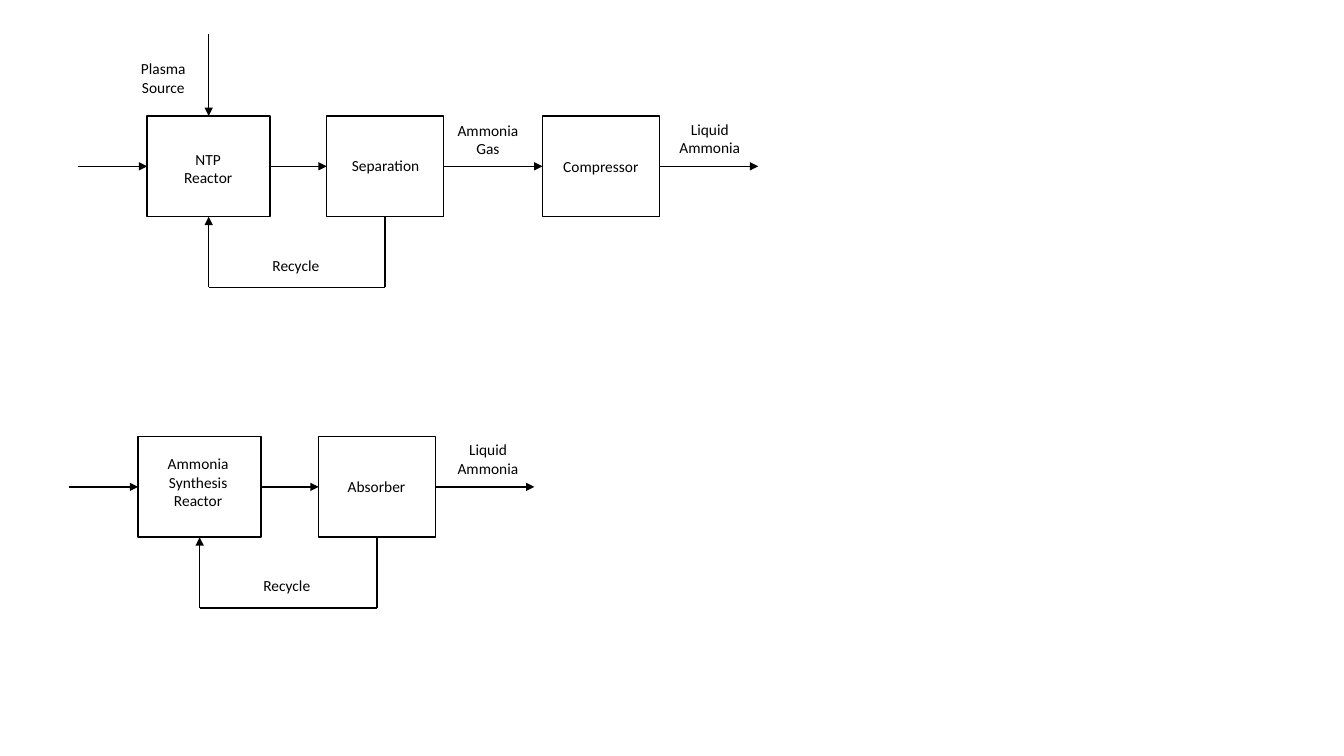
from pptx import Presentation, util as u
from pptx.dml import color
from pptx.enum import shapes, text
from pptx.oxml import ns, xmlchemy

hue = color.RGBColor.from_string
INK = "000000"

deck = Presentation()
deck.slide_width, deck.slide_height = u.Inches(13.33), u.Inches(7.5)
slide = deck.slides.add_slide(deck.slide_layouts[6])


def write(words, x, y, w, h, size=11, font="Calibri", ink=INK):
    box = slide.shapes.add_textbox(*map(u.Inches, (x, y, w, h)))
    frame = box.text_frame
    frame.word_wrap = True
    frame.auto_size = text.MSO_AUTO_SIZE.SHAPE_TO_FIT_TEXT
    frame.text = words
    for para in frame.paragraphs:
        para.alignment = text.PP_ALIGN.CENTER
        para.font.size = u.Pt(size)
        para.font.name = font
        para.font.color.rgb = hue(ink)


def link(start, end, head=True, begin=None, finish=None):
    line = slide.shapes.add_connector(
        shapes.MSO_CONNECTOR.STRAIGHT, *map(u.Inches, start + end))
    if begin:
        line.begin_connect(*begin)
    if finish:
        line.end_connect(*finish)
    line.line.width = u.Pt(1)
    line.line.color.rgb = hue(INK)
    if head:
        tip = xmlchemy.OxmlElement("a:tailEnd")
        tip.set("type", "triangle")
        line.line._get_or_add_ln().append(tip)
    props = line._element.find(ns.qn("p:spPr"))
    props.append(xmlchemy.OxmlElement("a:effectLst"))


TOP, LEFT, BOTTOM, RIGHT = range(4)
HIGH = 1.0
rows = [
    (1.15, [(1.46, 1.22), (3.24, 1.16), (5.38, 1.16)]),
    (4.33, [(1.37, 1.22), (3.16, 1.16)]),
]

for top, units in rows:
    mid, base, low = top + HIGH / 2, top + HIGH, top + 1.7
    boxes = []
    for x, w in units:
        box = slide.shapes.add_shape(
            shapes.MSO_SHAPE.RECTANGLE, *map(u.Inches, (x, top, w, HIGH)))
        box.shadow.inherit = False
        box.fill.background()
        box.line.color.rgb = hue(INK)
        box.line.width = u.Pt(1)
        boxes.append(box)

    first = units[0][0]
    link((first - 0.69, mid), (first, mid), finish=(boxes[0], LEFT))
    for i in range(len(units) - 1):
        x, w = units[i]
        link((x + w, mid), (units[i + 1][0], mid),
             begin=(boxes[i], RIGHT), finish=(boxes[i + 1], LEFT))
    edge = sum(units[-1])
    link((edge, mid), (edge + 0.98, mid), begin=(boxes[-1], RIGHT))

    back, out = [x + w / 2 for x, w in units[:2]]
    link((out, base), (out, low), head=False, begin=(boxes[1], BOTTOM))
    link((out, low), (back, low), head=False)
    link((back, low), (back, base), finish=(boxes[0], BOTTOM))
    write("Recycle", first + 1.01, top + 1.34, 0.93, 0.29)
    if top == rows[0][0]:
        link((back, 0.34), (back, top), finish=(boxes[0], TOP))

labels = [
    ("Plasma Source", 1.17, 0.54, 0.9, 0.47),
    ("NTP\nReactor", 1.58, 1.44, 0.97, 0.47),
    ("Separation", 3.36, 1.5, 0.93, 0.29),
    ("Ammonia\nGas", 4.33, 1.15, 1.02, 0.47),
    ("Compressor", 5.45, 1.51, 1.02, 0.29),
    ("Liquid\nAmmonia", 6.53, 1.14, 1.02, 0.47),
    ("Ammonia Synthesis\nReactor", 1.44, 4.46, 1.05, 0.66),
    ("Absorber", 3.27, 4.68, 0.93, 0.29),
    ("Liquid\nAmmonia", 4.33, 4.32, 1.02, 0.47),
]
for label in labels:
    write(*label)

deck.save("out.pptx")
